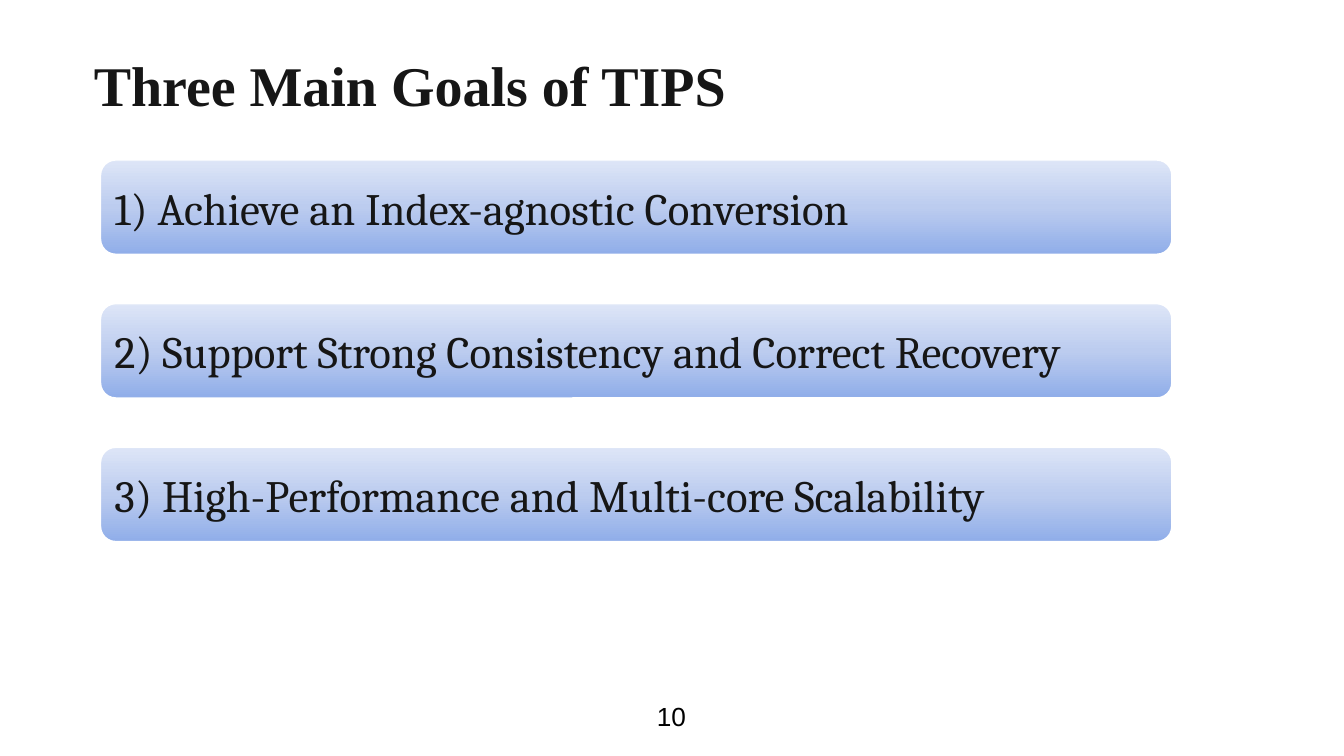
from copy import deepcopy

from pptx import Presentation
from pptx.dml.color import RGBColor
from pptx.enum.shapes import MSO_SHAPE
from pptx.enum.text import MSO_ANCHOR, MSO_AUTO_SIZE, PP_ALIGN
from pptx.oxml.ns import qn
from pptx.util import Inches, Pt

ROUNDED_RECTANGLE = MSO_SHAPE.ROUNDED_RECTANGLE
MIDDLE, BOTTOM = MSO_ANCHOR.MIDDLE, MSO_ANCHOR.BOTTOM
LEFT, CENTER = PP_ALIGN.LEFT, PP_ALIGN.CENTER
NO_AUTOFIT = MSO_AUTO_SIZE.NONE
TITLE_ONLY = 5

WHITE = RGBColor(0xFF, 0xFF, 0xFF)
BLACK = RGBColor(0x00, 0x00, 0x00)
INK = RGBColor(0x16, 0x16, 0x16)
BAR_GRADIENT = (
    (0, RGBColor(0x8F, 0xAD, 0xE9)),
    (0.5, RGBColor(0xBC, 0xCC, 0xEF)),
    (1, RGBColor(0xDE, 0xE6, 0xF7)),
)

GOALS = (
    "1) Achieve an Index-agnostic Conversion",
    "2) Support Strong Consistency and Correct Recovery",
    "3) High-Performance and Multi-core Scalability",
)


def write_text(shape, text, font_name, size, color, alignment=LEFT,
               anchor=MIDDLE, bold=False, side_inset=0.13, end_inset=0.13):
    frame = shape.text_frame
    frame.word_wrap = True
    frame.auto_size = NO_AUTOFIT
    frame.vertical_anchor = anchor
    frame.margin_left = frame.margin_right = Inches(side_inset)
    frame.margin_top = frame.margin_bottom = Inches(end_inset)
    paragraph = frame.paragraphs[0]
    paragraph.alignment = alignment
    run = paragraph.add_run()
    run.text = text
    run.font.name = font_name
    run.font.size = Pt(size)
    run.font.bold = bold
    run.font.color.rgb = color


def fill_with_gradient(shape):
    """Fill the shape from dark at its bottom to light at its top."""
    shape.fill.gradient()
    shape.fill.gradient_angle = 90
    stop_list = next(shape.element.iter(qn("a:gsLst")))
    stop_list.append(deepcopy(stop_list[-1]))
    for stop, (position, color) in zip(shape.fill.gradient_stops, BAR_GRADIENT):
        stop.position = position
        stop.color.rgb = color


def add_title(slide, left, top, width, height):
    title = slide.shapes.title
    title.left, title.top = Inches(left), Inches(top)
    title.width, title.height = Inches(width), Inches(height)
    title.fill.solid()
    title.fill.fore_color.rgb = WHITE
    write_text(title, "Three Main Goals of TIPS", "Times New Roman", 40, INK,
               anchor=BOTTOM, bold=True)


def add_goals(slide, left, top, width, height, bar_height=0.95):
    """Spread one bar per goal evenly over the given box."""
    pitch = (height - bar_height) / (len(GOALS) - 1)
    for index, goal in enumerate(GOALS):
        bar = slide.shapes.add_shape(
            ROUNDED_RECTANGLE, Inches(left), Inches(top + index * pitch),
            Inches(width), Inches(bar_height))
        bar.shadow.inherit = False
        fill_with_gradient(bar)
        bar.line.color.rgb = WHITE
        bar.line.width = Pt(2)
        write_text(bar, goal, "Cambria", 32, INK, side_inset=0.1, end_inset=0.05)


def add_page_number(slide, left, top, width, height):
    box = slide.shapes.add_textbox(
        Inches(left), Inches(top), Inches(width), Inches(height))
    write_text(box, "10", "Arial", 18.7, BLACK, alignment=CENTER)


def main():
    presentation = Presentation()
    presentation.slide_width = Inches(13.33)
    presentation.slide_height = Inches(7.5)
    slide = presentation.slides.add_slide(presentation.slide_layouts[TITLE_ONLY])
    slide.background.fill.solid()
    slide.background.fill.fore_color.rgb = WHITE
    add_title(slide, 0.8, 0.5, 10.93, 0.8)
    add_page_number(slide, 5.86, 6.7, 1.6, 0.8)
    add_goals(slide, 0.99, 1.58, 10.64, 3.8)
    presentation.save("out.pptx")


if __name__ == "__main__":
    main()
